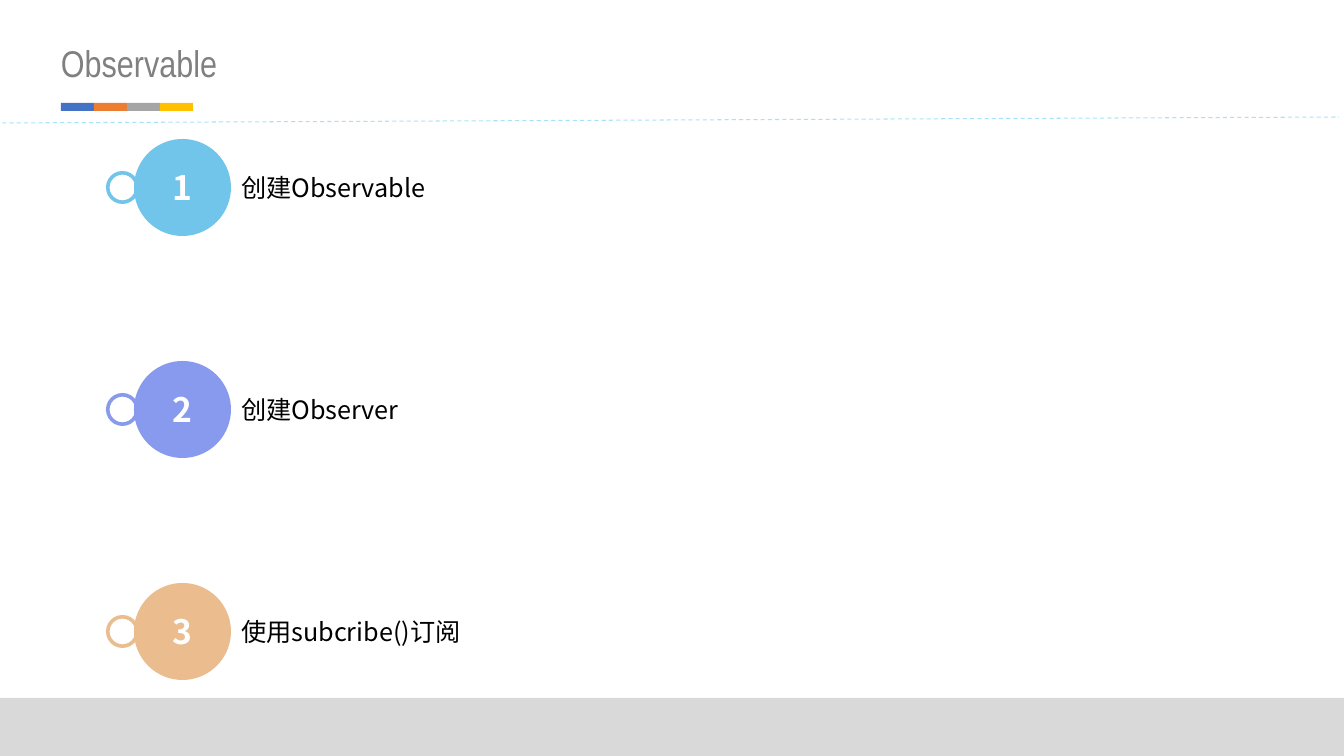
from lxml.etree import SubElement
from pptx import Presentation
from pptx.dml.color import RGBColor
from pptx.enum.dml import MSO_LINE
from pptx.enum.shapes import MSO_CONNECTOR, MSO_SHAPE
from pptx.enum.text import MSO_ANCHOR as ANCHOR, MSO_AUTO_SIZE as AUTO_SIZE, PP_ALIGN as ALIGN
from pptx.oxml.ns import qn
from pptx.util import Emu, Pt

SLIDE_W, SLIDE_H = 1344, 756
EMU_PER_PX = 914400 / 100.8
BODY_FONT = "Noto Sans CJK SC"
ACCENTS = ["4472C4", "ED7D31", "A5A5A5", "FFC000"]
STEPS = [
    ("创建Observable", "72C5EA"),
    ("创建Observer", "879AED"),
    ("使用subcribe()订阅", "EABC8E"),
]
FIRST_STEP_TOP, STEP_PITCH = 139, 222


def px(length):
    return Emu(round(length * EMU_PER_PX))


def rgb(hex_color):
    return RGBColor.from_string(hex_color)


def write_text(shape, text, *, size, color, font=BODY_FONT, bold=False,
               align=ALIGN.LEFT, anchor=ANCHOR.MIDDLE, inset=0):
    frame = shape.text_frame
    frame.word_wrap = True
    frame.vertical_anchor = anchor
    frame.margin_left = frame.margin_right = px(inset)
    frame.margin_top = frame.margin_bottom = px(inset / 2)
    paragraph = frame.paragraphs[0]
    paragraph.alignment = align
    run = paragraph.add_run()
    run.text = text
    run.font.size = Pt(size)
    run.font.bold = bold
    run.font.name = font
    run.font.color.rgb = rgb(color)
    SubElement(run.font._element, qn("a:ea"), typeface=font)


def add_filled(slide, preset, box, color):
    shape = slide.shapes.add_shape(preset, *map(px, box))
    shape.shadow.inherit = False
    shape.fill.solid()
    shape.fill.fore_color.rgb = rgb(color)
    shape.line.fill.background()
    return shape


def add_title(slide, text):
    title = slide.shapes.title
    title.left, title.top, title.width, title.height = map(px, (61, 40, 594, 45))
    write_text(title, text, size=26.6, color="808080", font="Arial Narrow",
               anchor=ANCHOR.TOP)
    title.text_frame.auto_size = AUTO_SIZE.SHAPE_TO_FIT_TEXT


def add_divider(slide):
    divider = slide.shapes.add_connector(
        MSO_CONNECTOR.STRAIGHT, *map(px, (-5, 123, 1339, 117)))
    divider.line.color.rgb = rgb("00B0F0")
    divider.line.width = Pt(0.75)
    divider.line.dash_style = MSO_LINE.DASH
    color = divider.line._ln.find(qn("a:solidFill"))[0]
    SubElement(color, qn("a:alpha"), val="34000")
    SubElement(divider._element.spPr, qn("a:effectLst"))


def add_step(slide, number, label, color):
    """Add a numbered disc with its small ring and label."""
    top = FIRST_STEP_TOP + (number - 1) * STEP_PITCH
    disc = add_filled(slide, MSO_SHAPE.OVAL, (134, top, 97, 97), color)
    write_text(disc, str(number), size=24, color="FFFFFF", bold=True,
               align=ALIGN.CENTER)
    ring = add_filled(slide, MSO_SHAPE.DONUT, (106, top + 32, 33, 33), color)
    ring.adjustments[0] = 0.11
    caption = slide.shapes.add_textbox(*map(px, (231, top + 14, 505, 69)))
    write_text(caption, label, size=18, color="000000", align=ALIGN.JUSTIFY,
               inset=10)


def main():
    deck = Presentation()
    deck.slide_width, deck.slide_height = px(SLIDE_W), px(SLIDE_H)
    slide = deck.slides.add_slide(deck.slide_layouts[5])
    add_filled(slide, MSO_SHAPE.RECTANGLE, (0, 698, SLIDE_W, 58), "D9D9D9")
    for index, color in enumerate(ACCENTS):
        add_filled(slide, MSO_SHAPE.RECTANGLE, (61 + index * 33, 103, 33, 8), color)
    add_title(slide, "Observable")
    add_divider(slide)
    for number, (label, color) in enumerate(STEPS, start=1):
        add_step(slide, number, label, color)
    deck.save("out.pptx")


if __name__ == "__main__":
    main()
